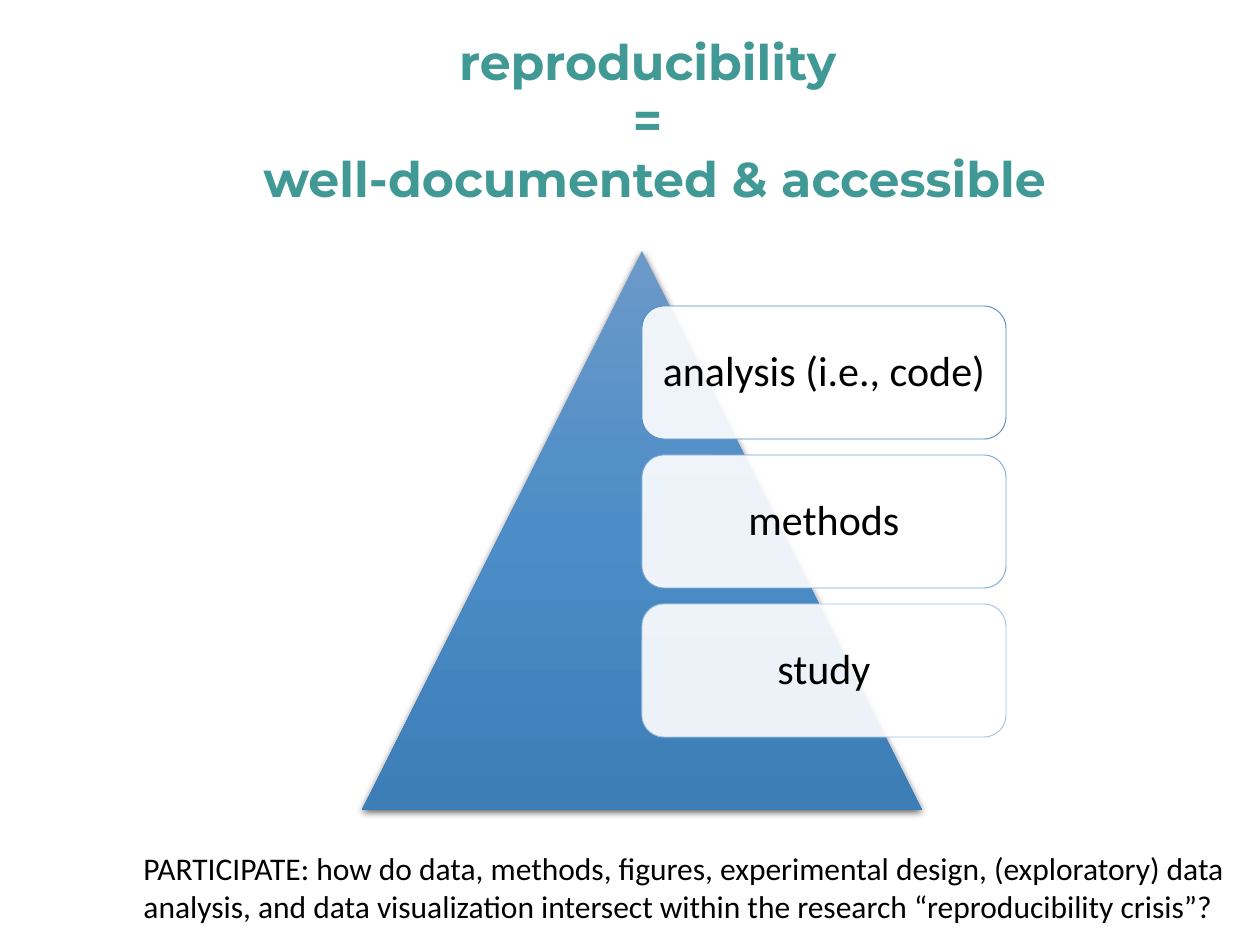
from copy import deepcopy

from lxml import etree
from pptx import Presentation
from pptx import util as u
from pptx.dml.color import RGBColor
from pptx.enum import shapes, text
from pptx.oxml import parse_xml
from pptx.oxml.ns import nsdecls, qn

PX = 914400 / 126
TEAL = RGBColor(0x40, 0x99, 0x95)
BLACK = RGBColor(0, 0, 0)
WHITE = RGBColor(255, 255, 255)
PYRAMID_BLUES = [
    RGBColor(0x6B, 0x99, 0xC9),
    RGBColor(0x4D, 0x8D, 0xC7),
    RGBColor(0x3E, 0x7E, 0xB7),
]
LEVELS = [
    ("analysis (i.e., code)", RGBColor(0x53, 0x8D, 0xC1)),
    ("methods", RGBColor(0x7B, 0xA6, 0xD3)),
    ("study", RGBColor(0xA5, 0xC1, 0xE3)),
]
LEVEL_TOP, LEVEL_PITCH = 306, 149


def emu(*pixels):
    return [u.Emu(round(value * PX)) for value in pixels]


def write(frame, words, *, size, font="Calibri", color=BLACK, bold=False,
          align=text.PP_ALIGN.LEFT, spacing=None):
    """Put each line of words into its own paragraph of the frame."""
    frame.word_wrap = True
    for index, line in enumerate(words.split("\n")):
        para = frame.add_paragraph() if index else frame.paragraphs[0]
        para.alignment = align
        para.line_spacing = spacing
        span = para.add_run()
        span.text = line
        span.font.name = font
        span.font.size = u.Pt(size)
        span.font.bold = bold
        span.font.color.rgb = color


class Slide:
    def __init__(self, deck):
        self.page = deck.slides.add_slide(deck.slide_layouts[6])

    def label(self, words, area, **style):
        box = self.page.shapes.add_textbox(*emu(*area))
        write(box.text_frame, words, **style)

    def pyramid(self, area, colors):
        """Triangle with a downward gradient and a soft shadow below."""
        kind = shapes.MSO_SHAPE.ISOSCELES_TRIANGLE
        triangle = self.page.shapes.add_shape(kind, *emu(*area))
        triangle.line.fill.background()
        triangle.fill.gradient()
        triangle.fill.gradient_angle = 270
        properties = triangle.element.spPr
        stop_list = properties.find(".//" + qn("a:gsLst"))
        stop_list.insert(1, deepcopy(stop_list[0]))
        for index, color in enumerate(colors):
            stop = triangle.fill.gradient_stops[index]
            stop.position = index / (len(colors) - 1)
            stop.color.rgb = color
        properties.append(parse_xml(
            f'<a:effectLst {nsdecls("a")}>'
            '<a:outerShdw blurRad="57150" dist="19050" dir="5400000" rotWithShape="0">'
            '<a:srgbClr val="000000"><a:alpha val="63000"/></a:srgbClr>'
            '</a:outerShdw></a:effectLst>'))

    def card(self, words, area, outline):
        """Rounded, slightly see-through box with centred text."""
        kind = shapes.MSO_SHAPE.ROUNDED_RECTANGLE
        box = self.page.shapes.add_shape(kind, *emu(*area))
        box.shadow.inherit = False
        box.fill.solid()
        box.fill.fore_color.rgb = WHITE
        color = box.element.spPr.find(qn("a:solidFill"))[0]
        etree.SubElement(color, qn("a:alpha"), val="90000")
        box.line.color.rgb = outline
        box.line.width = u.Pt(0.5)
        frame = box.text_frame
        frame.margin_left, frame.margin_right = emu(10, 10)
        frame.vertical_anchor = text.MSO_ANCHOR.MIDDLE
        write(frame, words, size=24, align=text.PP_ALIGN.CENTER, spacing=0.9)


def main():
    deck = Presentation()
    deck.slide_width, deck.slide_height = emu(1260, 945)
    slide = Slide(deck)
    slide.label("reproducibility \n= \nwell-documented & accessible",
                (155, 25, 999, 190), size=28, font="Montserrat", color=TEAL,
                bold=True, align=text.PP_ALIGN.CENTER)
    slide.pyramid((362, 251, 560, 559), PYRAMID_BLUES)
    for index, (words, outline) in enumerate(LEVELS):
        top = LEVEL_TOP + index * LEVEL_PITCH
        slide.card(words, (642, top, 364, 133), outline)
    slide.label("PARTICIPATE: how do data, methods, figures, experimental design, "
                "(exploratory) data analysis, and data visualization intersect "
                "within the research “reproducibility crisis”?",
                (131, 843, 1129, 102), size=18)
    deck.save("out.pptx")


if __name__ == "__main__":
    main()
